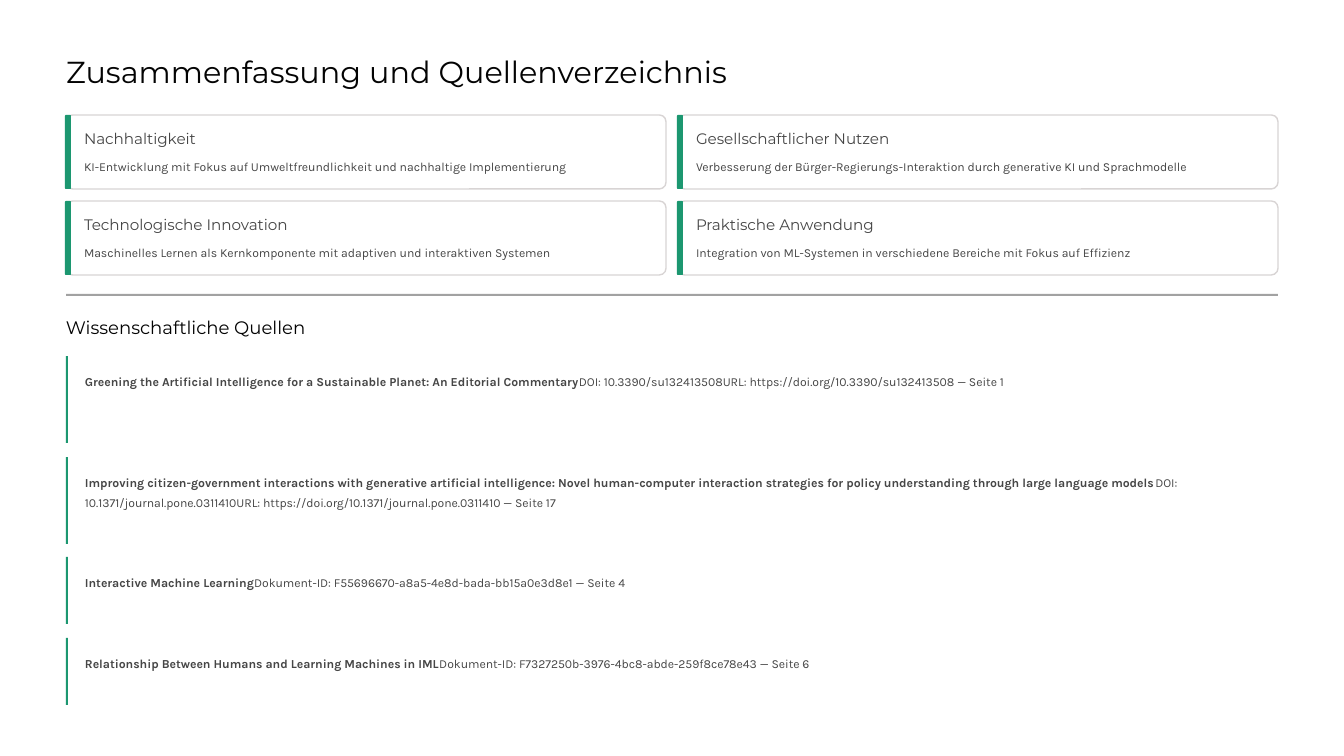
from lxml.etree import SubElement
from pptx import Presentation
from pptx.dml.color import RGBColor
from pptx.enum.shapes import MSO_SHAPE
from pptx.oxml.ns import qn
from pptx.util import Pt

PX = 914400 / 84
WHITE = RGBColor(0xFF, 0xFF, 0xFF)
BLACK = RGBColor(0x03, 0x03, 0x03)
GRAY = RGBColor(0x46, 0x46, 0x46)
EDGE = RGBColor(0xD8, 0xD4, 0xD4)
GREEN = RGBColor(0x1C, 0x97, 0x70)

deck = Presentation()
deck.slide_width, deck.slide_height = round(1344 * PX), round(756 * PX)
slide = deck.slides.add_slide(deck.slide_layouts[6])
slide.background.fill.solid()
slide.background.fill.fore_color.rgb = WHITE


def add_text(text, box, size=10.5, font="Karla", color=GRAY, lead=16.5, wrap=False, bold=""):
    """Place a text in box (left, top, width, height); bold is set before it in bold."""
    frame = slide.shapes.add_textbox(*[round(n * PX) for n in box]).text_frame
    frame.margin_left = frame.margin_top = frame.margin_right = frame.margin_bottom = 0
    frame.word_wrap = wrap
    para = frame.paragraphs[0]
    para.line_spacing = Pt(lead)
    for part, heavy in ((bold, True), (text, False)):
        if part:
            run = para.add_run()
            run.text = part
            run.font.size, run.font.name = Pt(size), font
            run.font.bold, run.font.color.rgb = heavy, color


def add_box(box, fill, edge=None, bend=None):
    """Draw a rectangle, rounded by bend if that is given."""
    kind = MSO_SHAPE.ROUNDED_RECTANGLE if bend else MSO_SHAPE.RECTANGLE
    shape = slide.shapes.add_shape(kind, *[round(n * PX) for n in box])
    shape.shadow.inherit = False
    if bend:
        shape.adjustments[0] = bend
    shape.fill.solid()
    shape.fill.fore_color.rgb = fill
    if edge:
        shape.line.color.rgb = edge
        shape.line.width = Pt(1.2)
    else:
        shape.line.fill.background()
    return shape


add_text("Zusammenfassung und Quellenverzeichnis", (66, 52, 686, 39),
         size=26, font="Montserrat", color=BLACK, lead=32.5)

cards = [
    ("Nachhaltigkeit",
     "KI-Entwicklung mit Fokus auf Umweltfreundlichkeit und nachhaltige Implementierung"),
    ("Gesellschaftlicher Nutzen",
     "Verbesserung der Bürger-Regierungs-Interaktion durch generative KI und Sprachmodelle"),
    ("Technologische Innovation",
     "Maschinelles Lernen als Kernkomponente mit adaptiven und interaktiven Systemen"),
    ("Praktische Anwendung",
     "Integration von ML-Systemen in verschiedene Bereiche mit Fokus auf Effizienz"),
]
for i, (head, body) in enumerate(cards):
    left, top = 66 + i % 2 * 612, 115 + i // 2 * 86
    add_box((left, top, 600, 74), WHITE, edge=EDGE, bend=0.09)
    add_box((left - 1, top, 6, 74), GREEN, bend=0.15)
    add_text(head, (left + 18, top + 14, 214, 19), size=13, font="Montserrat", lead=16)
    add_text(body, (left + 18, top + 40, 568, 19))

rule = add_box((66, 294, 1212, 2), GRAY)
tint = rule._element.spPr.find(qn("a:solidFill")).find(qn("a:srgbClr"))
SubElement(tint, qn("a:alpha")).set("val", "50000")

add_text("Wissenschaftliche Quellen", (66, 315, 252, 23),
         size=15.5, font="Montserrat", color=BLACK, lead=19.5)

sources = [
    (356, 87, "Greening the Artificial Intelligence for a Sustainable Planet: An Editorial Commentary",
     "DOI: 10.3390/su132413508URL: https://doi.org/10.3390/su132413508 — Seite 1"),
    (457, 87, "Improving citizen-government interactions with generative artificial intelligence: "
     "Novel human-computer interaction strategies for policy understanding through large language models",
     "DOI: 10.1371/journal.pone.0311410URL: https://doi.org/10.1371/journal.pone.0311410 — Seite 17"),
    (557, 67, "Interactive Machine Learning",
     "Dokument-ID: F55696670-a8a5-4e8d-bada-bb15a0e3d8e1 — Seite 4"),
    (638, 67, "Relationship Between Humans and Learning Machines in IML",
     "Dokument-ID: F7327250b-3976-4bc8-abde-259f8ce78e43 — Seite 6"),
]
for top, high, name, place in sources:
    add_text(place, (85, top + 14, 1193, high - 28), wrap=True, bold=name)
    add_box((66, top, 2, high), GREEN)

deck.save("out.pptx")
